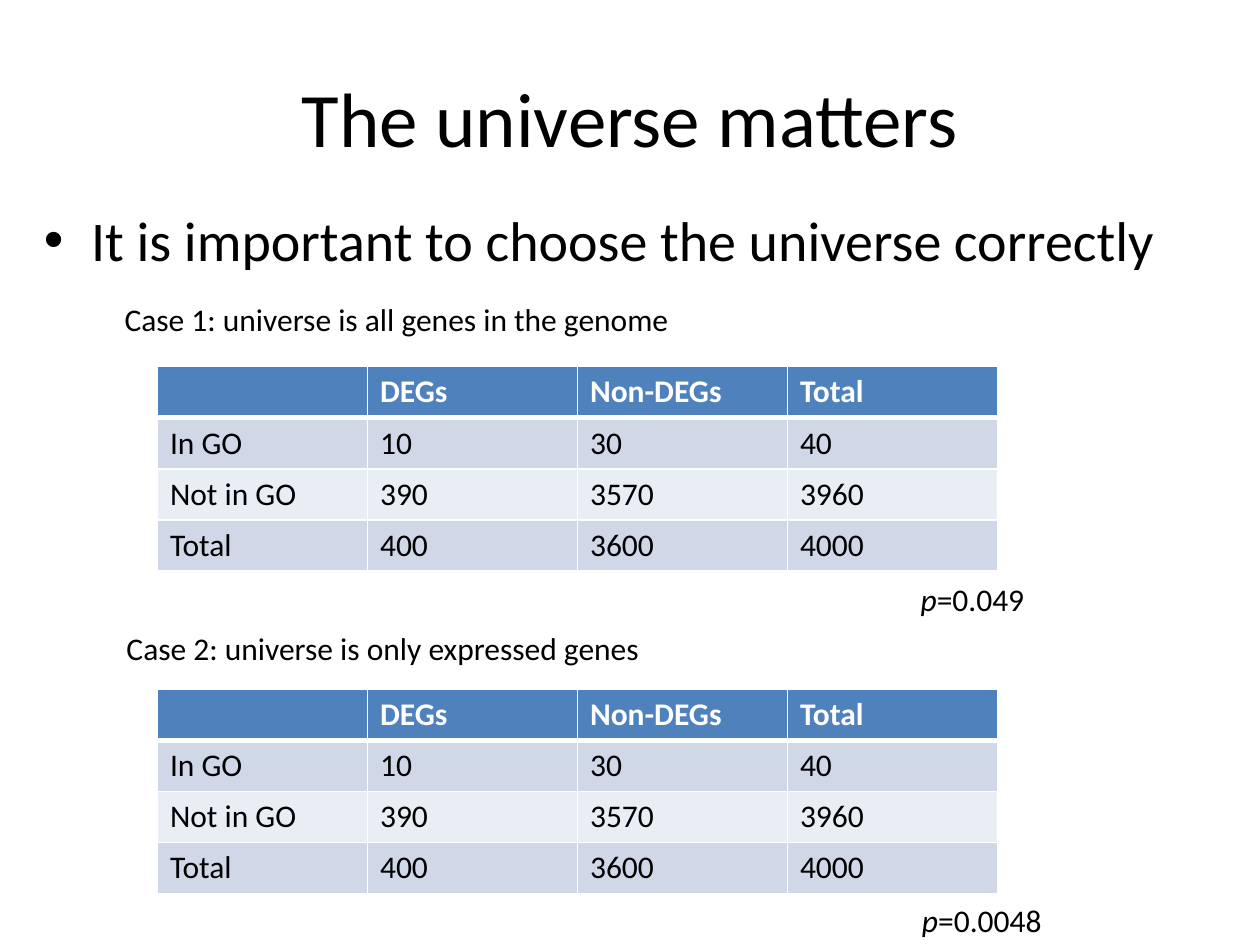
from dataclasses import dataclass

import lxml.etree
import pptx
import pptx.dml.color
import pptx.enum.text
import pptx.oxml.ns
import pptx.util

Pt = pptx.util.Pt
RGB = pptx.dml.color.RGBColor
Align = pptx.enum.text.PP_ALIGN
Anchor = pptx.enum.text.MSO_ANCHOR
Fit = pptx.enum.text.MSO_AUTO_SIZE
qn = pptx.oxml.ns.qn

BLACK = RGB(0x00, 0x00, 0x00)
WHITE = RGB(0xFF, 0xFF, 0xFF)
BLUE = RGB(0x4F, 0x81, 0xBD)
DARK = RGB(0xD0, 0xD8, 0xE8)
LIGHT = RGB(0xE9, 0xED, 0xF4)
FONT = "Calibri"
INDENT = 27
COL_WIDTH = 120
ROW_HEIGHT = 29.2
COUNTS = (
    ("", "DEGs", "Non-DEGs", "Total"),
    ("In GO", "10", "30", "40"),
    ("Not in GO", "390", "3570", "3960"),
    ("Total", "400", "3600", "4000"),
)


@dataclass
class Box:
    left: float
    top: float
    width: float
    height: float


@dataclass
class Case:
    label: str
    label_box: Box
    table_top: float
    value: str
    value_box: Box


CASES = (
    Case("Case 1: universe is all genes in the genome", Box(64.1, 167.8, 329.8, 29),
         209.5, "=0.049", Box(519, 327.6, 75, 29)),
    Case("Case 2: universe is only expressed genes", Box(65.2, 355.7, 320.4, 29),
         393.8, "=0.0048", Box(519.8, 511.2, 83.5, 29)),
)


def add_run(para, text: str, size: float = 18, color: RGB = BLACK,
            bold: bool = False, slant: bool = False) -> None:
    run = para.add_run()
    run.text = text
    font = run.font
    font.name, font.size = FONT, Pt(size)
    font.bold, font.italic = bold, slant
    font.color.rgb = color


def add_box(slide, box: Box, wrap: bool = False):
    shape = slide.shapes.add_textbox(
        Pt(box.left), Pt(box.top), Pt(box.width), Pt(box.height))
    frame = shape.text_frame
    frame.word_wrap = wrap
    frame.auto_size = Fit.NONE if wrap else Fit.SHAPE_TO_FIT_TEXT
    return frame


def add_bullet(para) -> None:
    props = para._p.get_or_add_pPr()
    props.set("marL", str(Pt(INDENT)))
    props.set("indent", str(-Pt(INDENT)))
    lxml.etree.SubElement(props, qn("a:buFont"), typeface="Arial")
    lxml.etree.SubElement(props, qn("a:buChar"), char="•")


def add_edge(cell, side: str, width: float) -> None:
    props = cell._tc.get_or_add_tcPr()
    line = lxml.etree.SubElement(props, qn(f"a:ln{side}"), w=str(Pt(width)))
    fill = lxml.etree.SubElement(line, qn("a:solidFill"))
    lxml.etree.SubElement(fill, qn("a:srgbClr"), val=str(WHITE))


def add_counts(slide, top: float) -> None:
    rows, cols = len(COUNTS), len(COUNTS[0])
    table = slide.shapes.add_table(
        rows, cols, Pt(90), Pt(top),
        Pt(cols * COL_WIDTH), Pt(rows * ROW_HEIGHT)).table
    for col in table.columns:
        col.width = Pt(COL_WIDTH)
    for r, words in enumerate(COUNTS):
        table.rows[r].height = Pt(ROW_HEIGHT)
        head = r == 0
        shade = BLUE if head else DARK if r % 2 else LIGHT
        for c, word in enumerate(words):
            cell = table.cell(r, c)
            for side in "LRTB":
                thick = (r, side) in ((0, "B"), (1, "T"))
                add_edge(cell, side, 3 if thick else 1)
            cell.fill.solid()
            cell.fill.fore_color.rgb = shade
            if word:
                add_run(cell.text_frame.paragraphs[0], word,
                        color=WHITE if head else BLACK, bold=head)


def add_case(slide, case: Case) -> None:
    add_counts(slide, case.table_top)
    add_run(add_box(slide, case.label_box).paragraphs[0], case.label)
    para = add_box(slide, case.value_box).paragraphs[0]
    add_run(para, "p", slant=True)
    add_run(para, case.value)


def main() -> None:
    deck = pptx.Presentation()
    deck.slide_width, deck.slide_height = Pt(720), Pt(540)
    slide = deck.slides.add_slide(deck.slide_layouts[6])

    title = add_box(slide, Box(36, 21.6, 648, 90), wrap=True)
    title.vertical_anchor = Anchor.MIDDLE
    title.paragraphs[0].alignment = Align.CENTER
    add_run(title.paragraphs[0], "The universe matters", 44)

    point = add_box(slide, Box(18, 113.8, 678, 54), wrap=True).paragraphs[0]
    add_bullet(point)
    add_run(point, "It is important to choose the universe correctly", 32)

    for case in CASES:
        add_case(slide, case)
    deck.save("out.pptx")


if __name__ == "__main__":
    main()
